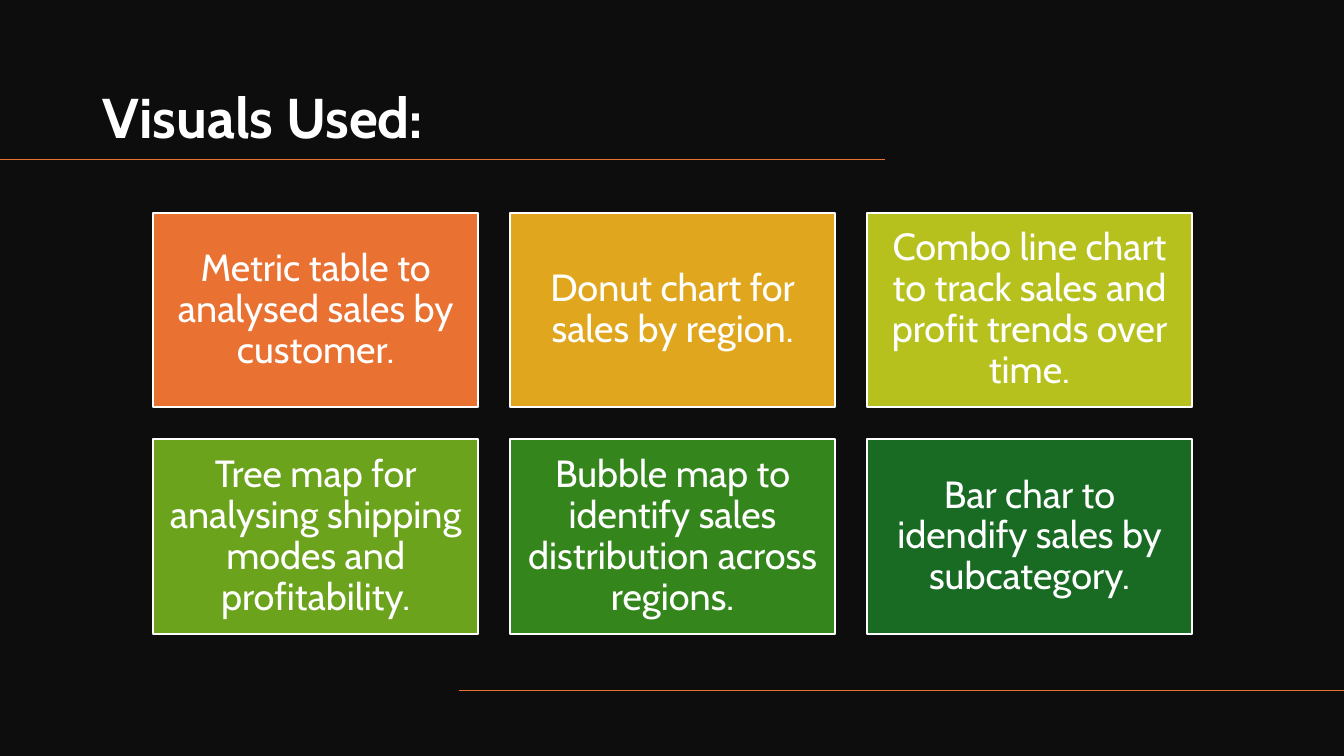
from pptx import Presentation
from pptx.dml.color import RGBColor
from pptx.enum.shapes import MSO_CONNECTOR, MSO_SHAPE
from pptx.enum.text import MSO_ANCHOR, MSO_AUTO_SIZE, PP_ALIGN
from pptx.oxml.ns import qn
from pptx.util import Inches, Pt
from lxml.etree import SubElement

CARDS = [
    ("Metric table to analysed sales by customer.", "E97132"),
    ("Donut chart for sales by region.", "E0A61D"),
    ("Combo line chart to track sales and profit trends over time.", "B7C11E"),
    ("Tree map for analysing shipping modes and profitability.", "6BA31D"),
    ("Bubble map to identify sales distribution across regions.", "34861C"),
    ("Bar char to idendify sales by subcategory.", "196B24"),
]
COLUMNS = 3
CARD_WIDTH, CARD_HEIGHT, CARD_GAP = 3.22, 1.93, 0.32
GRID_LEFT, GRID_TOP = 1.52, 2.11


def color(hex_value):
    return RGBColor.from_string(hex_value)


class VisualsSlide:
    font = "Cabin"
    background = "0D0D0D"
    text = "FFFFFF"
    accent = "E97132"

    def __init__(self, presentation):
        self.slide = presentation.slides.add_slide(presentation.slide_layouts[5])
        fill = self.slide.background.fill
        fill.solid()
        fill.fore_color.rgb = color(self.background)

    def set_text(self, shape, text, size, align, anchor, bold=False):
        frame = shape.text_frame
        frame.text = text
        frame.word_wrap = True
        frame.auto_size = MSO_AUTO_SIZE.NONE
        frame.vertical_anchor = anchor
        paragraph = frame.paragraphs[0]
        paragraph.alignment = align
        paragraph.line_spacing = 0.9
        font = paragraph.runs[0].font
        font.name, font.size, font.bold = self.font, Pt(size), bold
        font.color.rgb = color(self.text)

    def title(self, text, left, top, width, height):
        shape = self.slide.shapes.title
        shape.left, shape.top = Inches(left), Inches(top)
        shape.width, shape.height = Inches(width), Inches(height)
        self.set_text(shape, text, 40, PP_ALIGN.LEFT, MSO_ANCHOR.BOTTOM, bold=True)

    def rule(self, start, end, y):
        line = self.slide.shapes.add_connector(
            MSO_CONNECTOR.STRAIGHT, Inches(start), Inches(y), Inches(end), Inches(y))
        line.line.color.rgb = color(self.accent)
        line.line.width = Pt(1)
        SubElement(line.element.spPr, qn("a:effectLst"))

    def card(self, text, fill, left, top):
        shape = self.slide.shapes.add_shape(
            MSO_SHAPE.RECTANGLE, Inches(left), Inches(top),
            Inches(CARD_WIDTH), Inches(CARD_HEIGHT))
        shape.shadow.inherit = False
        shape.fill.solid()
        shape.fill.fore_color.rgb = color(fill)
        shape.line.color.rgb = color(self.text)
        shape.line.width = Pt(1.5)
        frame = shape.text_frame
        frame.margin_left = frame.margin_right = Inches(0.11)
        frame.margin_top = frame.margin_bottom = Inches(0.11)
        self.set_text(shape, text, 27, PP_ALIGN.CENTER, MSO_ANCHOR.MIDDLE)


def main():
    presentation = Presentation()
    presentation.slide_width, presentation.slide_height = Inches(13.33), Inches(7.5)
    visuals = VisualsSlide(presentation)

    # Title and accent rules
    visuals.title("Visuals Used:", 0.92, 0.42, 7.86, 1.12)
    visuals.rule(8.78, 0, 1.58)
    visuals.rule(13.33, 4.55, 6.85)

    # Grid of cards
    for index, (text, fill) in enumerate(CARDS):
        row, column = divmod(index, COLUMNS)
        visuals.card(text, fill,
                     GRID_LEFT + column * (CARD_WIDTH + CARD_GAP),
                     GRID_TOP + row * (CARD_HEIGHT + CARD_GAP))

    presentation.save("out.pptx")


if __name__ == "__main__":
    main()
